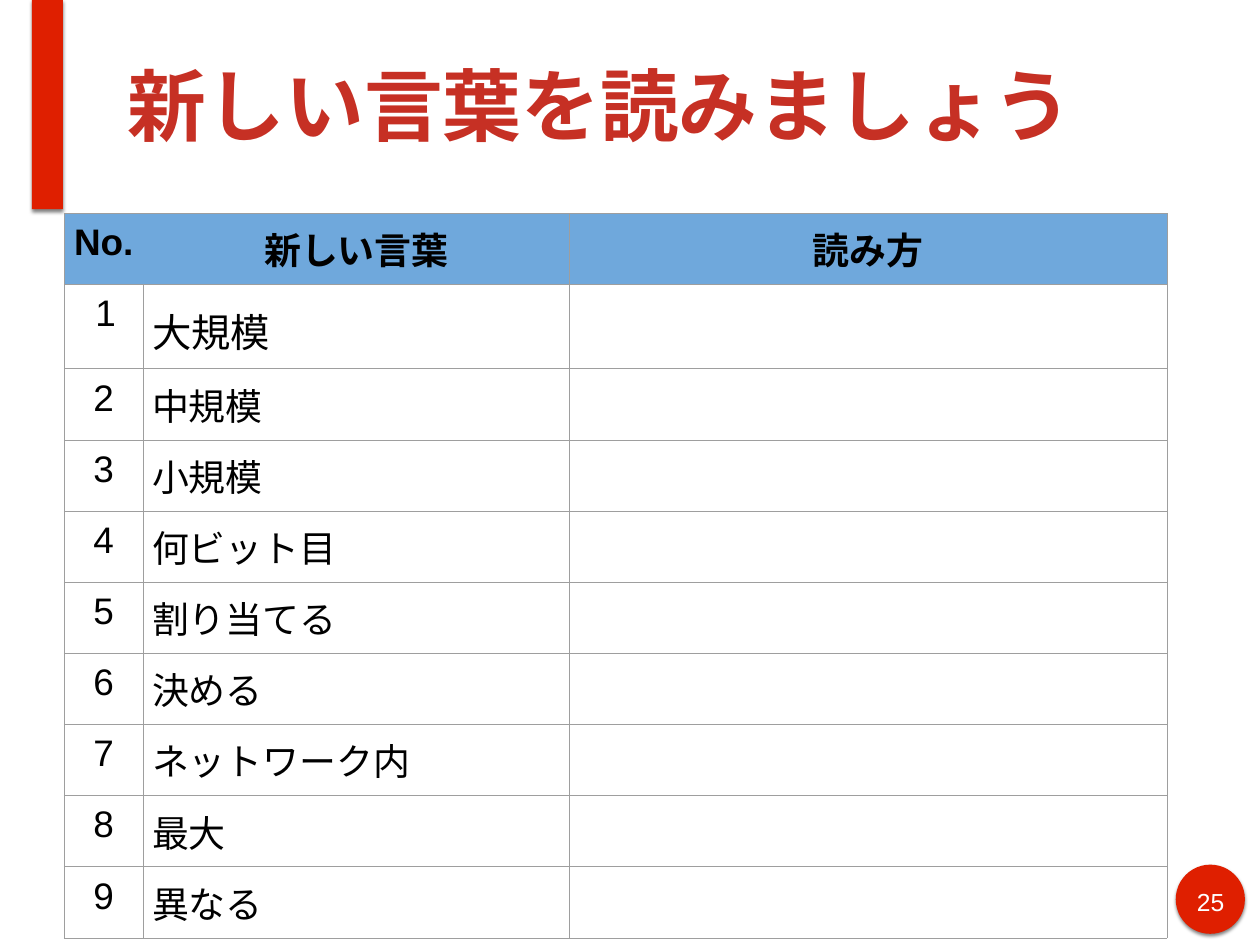
from dataclasses import dataclass

from lxml import etree
from pptx import Presentation
from pptx.dml.color import RGBColor
from pptx.enum.lang import MSO_LANGUAGE_ID
from pptx.enum.shapes import MSO_SHAPE
from pptx.enum.text import MSO_ANCHOR, PP_ALIGN
from pptx.oxml import parse_xml
from pptx.oxml.ns import nsdecls, qn
from pptx.util import Pt

RECT, OVAL = MSO_SHAPE.RECTANGLE, MSO_SHAPE.OVAL
LEFT, CENTER = PP_ALIGN.LEFT, PP_ALIGN.CENTER
TOP, MIDDLE = MSO_ANCHOR.TOP, MSO_ANCHOR.MIDDLE
JAPANESE = MSO_LANGUAGE_ID.JAPANESE

RED = RGBColor(0xDF, 0x1F, 0x00)
TITLE_RED = RGBColor(0xC6, 0x30, 0x24)
WHITE = RGBColor(0xFF, 0xFF, 0xFF)
BLACK = RGBColor(0x00, 0x00, 0x00)
HEADER_BLUE = RGBColor(0x6F, 0xA8, 0xDC)
GRID_GRAY = RGBColor(0x9E, 0x9E, 0x9E)

FONT = "Arial"
HEADERS = ["No.", "新しい言葉", "読み方"]
WORDS = ["大規模", "中規模", "小規模", "何ビット目", "割り当てる",
         "決める", "ネットワーク内", "最大", "異なる"]
COL_WIDTHS = [64.2, 346.5, 485.6]
ROW_HEIGHT, FIRST_WORD_HEIGHT = 57.8, 68.3
CELL_MARGIN, WORD_TOP_MARGIN, FIRST_WORD_TOP_MARGIN = 7.2, 14.6, 17


@dataclass
class Block:
    kind: MSO_SHAPE
    left: float
    top: float
    width: float
    height: float


@dataclass
class Label:
    text: str
    left: float
    top: float
    width: float
    height: float
    size: float
    color: RGBColor
    bold: bool
    align: PP_ALIGN
    anchor: MSO_ANCHOR


BLOCKS = [
    Block(OVAL, 955.5, 702.7, 56.2, 56.2),
    Block(RECT, 26, 0, 25.2, 170),
]
LABELS = [
    Label("25", 966.2, 716.4, 35.3, 28, 20, WHITE, False, CENTER, TOP),
    Label("新しい言葉を読みましょう", 99.5, 8.4, 874, 152.6, 64, TITLE_RED, True, LEFT, MIDDLE),
]


def format_text(p, size: float, color: RGBColor, bold: bool, align: PP_ALIGN) -> None:
    p.alignment = align
    for r in p.runs:
        font = r.font
        font.size, font.bold, font.name = Pt(size), bold, FONT
        font.color.rgb = color
        font.language_id = JAPANESE
        font._element.find(qn("a:latin")).addnext(
            parse_xml(f'<a:ea {nsdecls("a")} typeface="{FONT}"/>'))


def draw_block(s, block: Block) -> None:
    sp = s.shapes.add_shape(block.kind, Pt(block.left), Pt(block.top),
                            Pt(block.width), Pt(block.height))
    sp.fill.solid()
    sp.fill.fore_color.rgb = RED
    sp.line.fill.background()
    sp.shadow.inherit = False
    effects = sp._element.spPr.find(qn("a:effectLst"))
    effects.append(parse_xml(
        f'<a:outerShdw {nsdecls("a")} blurRad="{Pt(3)}" dist="{Pt(2)}" dir="5400000"'
        ' rotWithShape="0"><a:srgbClr val="000000"><a:alpha val="50000"/></a:srgbClr>'
        '</a:outerShdw>'))


def draw_label(s, label: Label) -> None:
    sp = s.shapes.add_textbox(Pt(label.left), Pt(label.top), Pt(label.width), Pt(label.height))
    tf = sp.text_frame
    tf.word_wrap = True
    tf.vertical_anchor = label.anchor
    tf.margin_left = tf.margin_right = tf.margin_top = tf.margin_bottom = Pt(4.5)
    tf.text = label.text
    format_text(tf.paragraphs[0], label.size, label.color, label.bold, label.align)


def set_borders(cell, hidden: str) -> None:
    """Draw all four sides of a cell, except the one named by its tag."""
    tc_pr = cell._tc.get_or_add_tcPr()
    for position, tag in enumerate(("lnL", "lnR", "lnT", "lnB")):
        line = parse_xml(f'<a:{tag} {nsdecls("a")} w="{Pt(0.75)}"/>')
        if tag == hidden:
            etree.SubElement(line, qn("a:noFill"))
        else:
            fill = etree.SubElement(line, qn("a:solidFill"))
            etree.SubElement(fill, qn("a:srgbClr"), val=str(GRID_GRAY))
        tc_pr.insert(position, line)


def fill_cell(cell, text: str, header: bool, align: PP_ALIGN, hidden: str,
              top_margin: float) -> None:
    cell.margin_left = cell.margin_right = cell.margin_bottom = Pt(CELL_MARGIN)
    cell.margin_top = Pt(top_margin)
    if header:
        cell.fill.solid()
        cell.fill.fore_color.rgb = HEADER_BLUE
    else:
        cell.fill.background()
    set_borders(cell, hidden)
    if text:
        cell.text_frame.text = text
        format_text(cell.text_frame.paragraphs[0], 30, BLACK, header, align)


def draw_word_table(s) -> None:
    rows = [HEADERS] + [[str(n), word, ""] for n, word in enumerate(WORDS, 1)]
    heights = [FIRST_WORD_HEIGHT if i == 1 else ROW_HEIGHT for i in range(len(rows))]
    frame = s.shapes.add_table(len(rows), len(HEADERS), Pt(52.2), Pt(173.5),
                               Pt(sum(COL_WIDTHS)), Pt(sum(heights)))
    table = frame.table
    table.horz_banding = False
    for column, width in zip(table.columns, COL_WIDTHS):
        column.width = Pt(width)
    for i, texts in enumerate(rows):
        table.rows[i].height = Pt(heights[i])
        for j, text in enumerate(texts):
            header = i == 0
            hidden = {0: "lnR", 1: "lnL"}.get(j, "") if header else ""
            align = CENTER if header or j == 0 else LEFT
            top_margin = WORD_TOP_MARGIN if j and text else CELL_MARGIN
            fill_cell(table.cell(i, j), text, header, align, hidden, top_margin)

    first_number = table.cell(1, 0).text_frame.paragraphs[0]
    first_number.alignment = LEFT
    p_pr = first_number._p.get_or_add_pPr()
    p_pr.set("marL", str(Pt(36)))
    p_pr.set("indent", str(Pt(-18)))

    first_word_cell = table.cell(1, 1)
    first_word_cell.margin_top = Pt(FIRST_WORD_TOP_MARGIN)
    first_word = first_word_cell.text_frame.paragraphs[0]
    first_word.line_spacing = 1.15
    first_word.space_after = Pt(25)
    first_word.runs[0].font.size = Pt(32)


def main() -> None:
    prs = Presentation()
    prs.slide_width, prs.slide_height = Pt(1024), Pt(768)
    s = prs.slides.add_slide(prs.slide_layouts[6])
    for block in BLOCKS:
        draw_block(s, block)
    for label in LABELS:
        draw_label(s, label)
    draw_word_table(s)
    prs.save("out.pptx")


if __name__ == "__main__":
    main()
